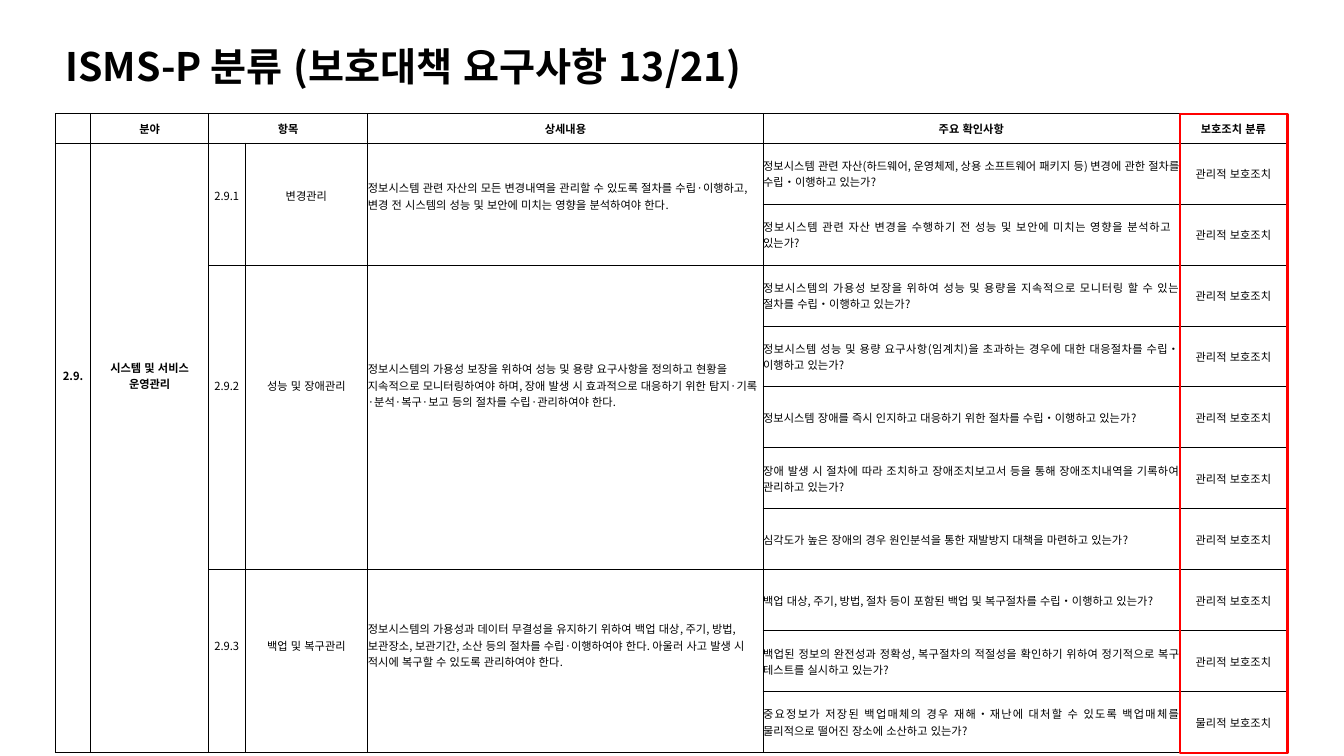
"""Build the ISMS-P protection requirement slide."""
from lxml import etree
from pptx import Presentation
from pptx.dml.color import RGBColor
from pptx.enum.lang import MSO_LANGUAGE_ID
from pptx.enum.shapes import MSO_SHAPE
from pptx.enum.text import MSO_ANCHOR, MSO_AUTO_SIZE, PP_ALIGN
from pptx.oxml.ns import qn
from pptx.util import Inches, Pt

RECT = MSO_SHAPE.RECTANGLE
MIDDLE = MSO_ANCHOR.MIDDLE
LEFT, CENTER, JUSTIFY = PP_ALIGN.LEFT, PP_ALIGN.CENTER, PP_ALIGN.JUSTIFY
NO_FIT = MSO_AUTO_SIZE.NONE
KOREAN = MSO_LANGUAGE_ID.KOREAN

COLORS = {"ink": "000000", "accent": "FF0000"}
FONT = "Noto Sans CJK KR"
SLIDE_W, SLIDE_H = 13.33, 7.5
GRID_LEFT, GRID_TOP, GRID_H = 0.55, 1.13, 6.34
COLS = [0.35, 1.17, 0.36, 1.22, 3.92, 4.13, 1.07]
HEAD_H, LINE_H = 0.29, 0.16
QUESTION_INSETS = {2: 0.08}
MANAGERIAL, PHYSICAL = "관리적 보호조치", "물리적 보호조치"

TITLE = "ISMS-P 분류 (보호대책 요구사항 13/21)"
HEADERS = ["", "분야", "항목", "", "상세내용", "주요 확인사항", "보호조치 분류"]
FIELD = ["2.9.", "시스템 및 서비스 운영관리"]
ITEMS = [
    ("2.9.1", "변경관리",
     "정보시스템 관련 자산의 모든 변경내역을 관리할 수 있도록 절차를 수립·이행하고, "
     "변경 전 시스템의 성능 및 보안에 미치는 영향을 분석하여야 한다.",
     [("정보시스템 관련 자산(하드웨어, 운영체제, 상용 소프트웨어 패키지 등) 변경에 관한 "
       "절차를 수립‧이행하고 있는가?", MANAGERIAL),
      ("정보시스템 관련 자산 변경을 수행하기 전 성능 및 보안에 미치는 영향을 분석하고 "
       "있는가?", MANAGERIAL)]),
    ("2.9.2", "성능 및 장애관리",
     "정보시스템의 가용성 보장을 위하여 성능 및 용량 요구사항을 정의하고 현황을 "
     "지속적으로 모니터링하여야 하며, 장애 발생 시 효과적으로 대응하기 위한 "
     "탐지·기록·분석·복구·보고 등의 절차를 수립·관리하여야 한다.",
     [("정보시스템의 가용성 보장을 위하여 성능 및 용량을 지속적으로 모니터링 할 수 있는 "
       "절차를 수립‧이행하고 있는가?", MANAGERIAL),
      ("정보시스템 성능 및 용량 요구사항(임계치)을 초과하는 경우에 대한 대응절차를 "
       "수립‧이행하고 있는가?", MANAGERIAL),
      ("정보시스템 장애를 즉시 인지하고 대응하기 위한 절차를 수립‧이행하고 있는가?",
       MANAGERIAL),
      ("장애 발생 시 절차에 따라 조치하고 장애조치보고서 등을 통해 장애조치내역을 "
       "기록하여 관리하고 있는가?", MANAGERIAL),
      ("심각도가 높은 장애의 경우 원인분석을 통한 재발방지 대책을 마련하고 있는가?",
       MANAGERIAL)]),
    ("2.9.3", "백업 및 복구관리",
     "정보시스템의 가용성과 데이터 무결성을 유지하기 위하여 백업 대상, 주기, 방법, "
     "보관장소, 보관기간, 소산 등의 절차를 수립·이행하여야 한다. 아울러 사고 발생 시 "
     "적시에 복구할 수 있도록 관리하여야 한다.",
     [("백업 대상, 주기, 방법, 절차 등이 포함된 백업 및 복구절차를 수립‧이행하고 "
       "있는가?", MANAGERIAL),
      ("백업된 정보의 완전성과 정확성, 복구절차의 적절성을 확인하기 위하여 정기적으로 "
       "복구 테스트를 실시하고 있는가?", MANAGERIAL),
      ("중요정보가 저장된 백업매체의 경우 재해‧재난에 대처할 수 있도록 백업매체를 "
       "물리적으로 떨어진 장소에 소산하고 있는가?", PHYSICAL)]),
]


def color(name):
    """Return a palette colour."""
    return RGBColor.from_string(COLORS[name])


def write(tf, text, size=8, bold=False, align=CENTER):
    """Write one formatted paragraph that keeps punctuation inside its box."""
    p = tf.paragraphs[0]
    p.alignment = align
    p._p.get_or_add_pPr().set("hangingPunct", "0")
    if not text:
        etree.SubElement(p._p, qn("a:endParaRPr"), sz=str(size * 100))
        return
    r = p.add_run()
    r.text = text
    font = r.font
    font.size, font.bold, font.name = Pt(size), bold, FONT
    font.color.rgb = color("ink")
    font.language_id = KOREAN
    latin = r._r.rPr.find(qn("a:latin"))
    latin.addnext(etree.Element(qn("a:ea"), typeface=FONT))


def add_title(slide, text):
    """Place the slide title."""
    sp = slide.shapes.title
    sp.left, sp.top = Inches(GRID_LEFT), Inches(0.37)
    sp.width, sp.height = Inches(8.73), Inches(0.57)
    tf = sp.text_frame
    tf.auto_size, tf.vertical_anchor = NO_FIT, MIDDLE
    write(tf, text, size=28, bold=True, align=LEFT)


def style_cell(cell, outer_left, outer_right):
    """Clear the fill and insets of a cell and draw its borders."""
    cell.fill.background()
    cell.vertical_anchor = MIDDLE
    cell.margin_left = cell.margin_right = cell.margin_top = cell.margin_bottom = 0
    tc_pr = cell._tc.get_or_add_tcPr()
    widths = {"L": 1 if outer_left else 0.75, "R": 1 if outer_right else 0.75,
              "T": 0.75, "B": 0.75}
    for i, (side, width) in enumerate(widths.items()):
        ln = etree.Element(qn(f"a:ln{side}"), w=str(Pt(width)))
        fill = etree.SubElement(ln, qn("a:solidFill"))
        etree.SubElement(fill, qn("a:srgbClr"), val=COLORS["ink"])
        tc_pr.insert(i, ln)


def fill_span(table, row, col, span, text, **fmt):
    """Merge cells downwards and raise the text by half a line per extra row."""
    cell = table.cell(row, col)
    cell.merge(table.cell(row + span - 1, col))
    cell.margin_bottom = Inches(LINE_H * (span - 1))
    write(cell.text_frame, text, **fmt)


def add_grid(slide):
    """Add the requirement table."""
    count = sum(len(checks) for *_, checks in ITEMS)
    frame = slide.shapes.add_table(count + 1, len(COLS), Inches(GRID_LEFT),
                                   Inches(GRID_TOP), Inches(sum(COLS)), Inches(GRID_H))
    table = frame.table
    table.first_row = table.horz_banding = False
    for column, width in zip(table.columns, COLS):
        column.width = Inches(width)
    for i, row in enumerate(table.rows):
        row.height = Inches((GRID_H - HEAD_H) / count if i else HEAD_H)
        for j, cell in enumerate(row.cells):
            style_cell(cell, j == 0, j == len(COLS) - 1)
    table.cell(0, 2).merge(table.cell(0, 3))
    for j, text in enumerate(HEADERS):
        write(table.cell(0, j).text_frame, text, bold=True)
    for j, text in enumerate(FIELD):
        fill_span(table, 1, j, count, text, bold=True)
    top = 1
    for number, name, detail, checks in ITEMS:
        for j, (text, align) in enumerate(
                [(number, CENTER), (name, CENTER), (detail, LEFT)], 2):
            fill_span(table, top, j, len(checks), text, align=align)
        for i, (question, kind) in enumerate(checks, top):
            cell = table.cell(i, 5)
            cell.margin_right = Inches(QUESTION_INSETS.get(i, 0))
            write(cell.text_frame, question, align=JUSTIFY)
            write(table.cell(i, 6).text_frame, kind)
        top += len(checks)


def add_highlight(slide):
    """Outline the last column."""
    sp = slide.shapes.add_shape(RECT, Inches(GRID_LEFT + sum(COLS[:-1])),
                                Inches(GRID_TOP), Inches(COLS[-1]), Inches(GRID_H))
    sp.shadow.inherit = False
    sp.fill.background()
    sp.line.color.rgb = color("accent")
    sp.line.width = Pt(1.5)


def main():
    """Build and save the slide."""
    prs = Presentation()
    prs.slide_width, prs.slide_height = Inches(SLIDE_W), Inches(SLIDE_H)
    slide = prs.slides.add_slide(prs.slide_layouts[5])
    add_title(slide, TITLE)
    add_grid(slide)
    add_highlight(slide)
    prs.save("out.pptx")


if __name__ == "__main__":
    main()
